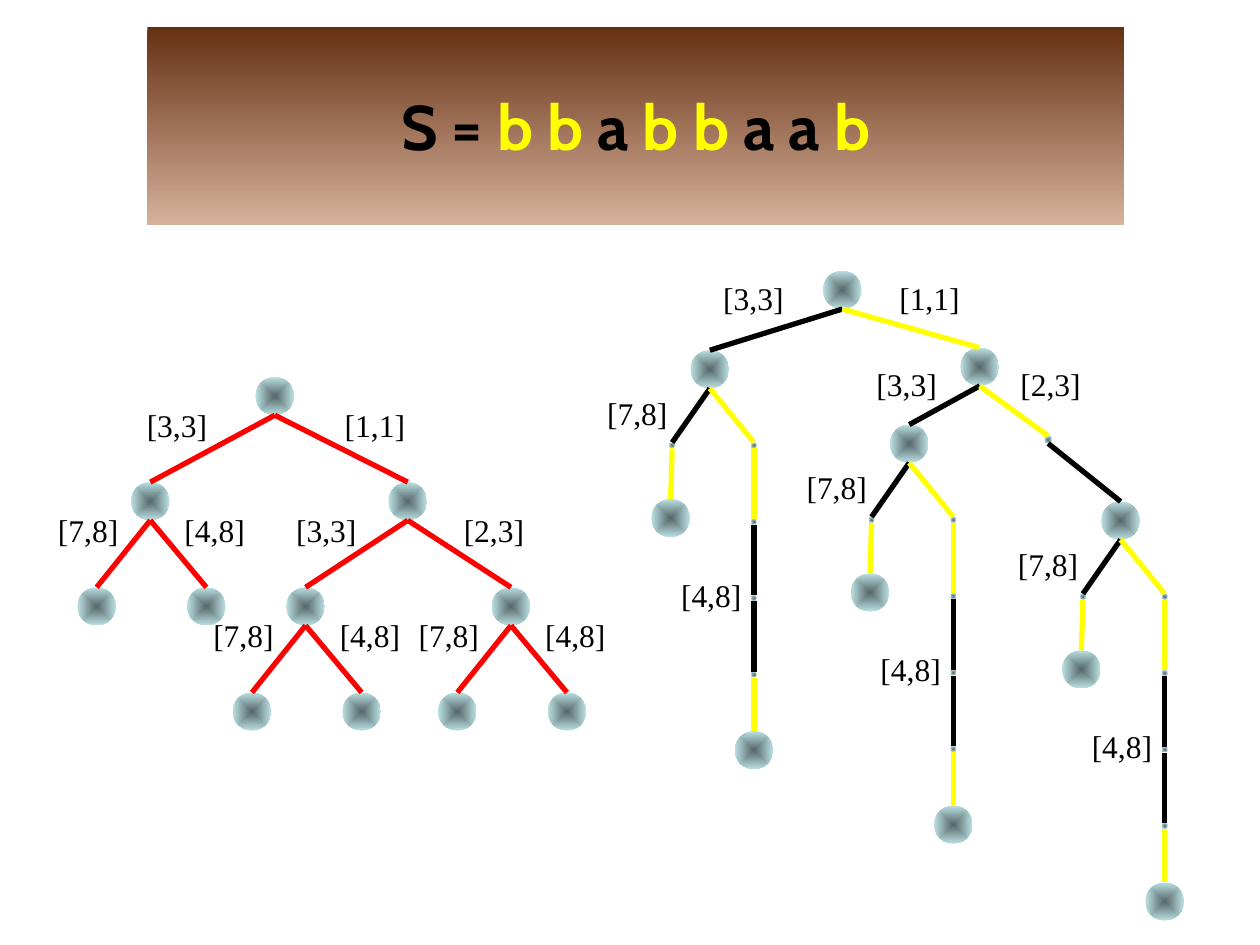
"""Build a slide with the binary string S and its two suffix index trees."""
from dataclasses import dataclass

from lxml import etree
from pptx import Presentation, util as u
from pptx.dml.color import RGBColor
from pptx.enum import shapes, text
from pptx.oxml.ns import qn


@dataclass(frozen=True)
class Theme:
    """Colours, fonts and sizes of the slide."""
    black: str = "000000"
    yellow: str = "FFFF00"
    red: str = "FF0000"
    banner: tuple = ("663012", "D6B19C")
    ball: tuple = ("566768", "BBE0E3")
    title_font: str = "Cabin"
    label_font: str = "Times New Roman"
    title_size: int = 36
    label_size: int = 18
    line_width: int = 3
    ball_size: tuple = (0.78, 0.77)
    dot_size: tuple = (0.12, 0.12)


THEME = Theme()


def write(paragraph, content, *, font, size, colour, bold=False):
    """Add one formatted run to a paragraph."""
    run = paragraph.add_run()
    run.text = content
    run.font.name = font
    run.font.size = u.Pt(size)
    run.font.bold = bold
    run.font.color.rgb = RGBColor.from_string(colour)


def fill_gradient(shape, colours, from_centre=False):
    """Fill a shape with two colours, downwards or from the centre out."""
    shape.fill.gradient()
    shape.fill.gradient_angle = 270
    for stop, colour in zip(shape.fill.gradient_stops, colours):
        stop.color.rgb = RGBColor.from_string(colour)
    if from_centre:
        gradient = shape.element.spPr.find(qn("a:gradFill"))
        gradient.remove(gradient.find(qn("a:lin")))
        outline = etree.SubElement(gradient, qn("a:path"), path="rect")
        sides = dict.fromkeys("ltrb", "50000")
        etree.SubElement(outline, qn("a:fillToRect"), **sides)


def add_title(slide):
    """Place the banner title and colour each letter of the string."""
    title = slide.shapes.title
    title.left, title.top = u.Cm(2.97), u.Cm(0.54)
    title.width, title.height = u.Cm(19.69), u.Cm(3.99)
    fill_gradient(title, THEME.banner)
    frame = title.text_frame
    frame.auto_size = text.MSO_AUTO_SIZE.NONE
    frame.vertical_anchor = text.MSO_ANCHOR.MIDDLE
    paragraph = frame.paragraphs[0]
    paragraph.alignment = text.PP_ALIGN.CENTER
    for part in ("S = ", "b b ", "a ", "b b ", "a a ", "b"):
        colour = THEME.yellow if "b" in part else THEME.black
        write(paragraph, part, font=THEME.title_font, size=THEME.title_size,
              colour=colour, bold=True)


def add_node(canvas, centre, top, size=THEME.ball_size):
    """Add a tree node from its horizontal centre and its top."""
    width, height = size
    node = canvas.add_shape(shapes.MSO_SHAPE.OVAL, u.Cm(centre - width / 2),
                            u.Cm(top), u.Cm(width), u.Cm(height))
    node.shadow.inherit = False
    node.line.fill.background()
    fill_gradient(node, THEME.ball, from_centre=True)
    return node


def locate(node):
    """Return the horizontal centre and the top of a node."""
    return u.Length(node.left + node.width // 2).cm, node.top.cm


def add_edge(canvas, parent, child, colour):
    """Join the bottom of a parent to the top of its child."""
    x, y = parent.left + parent.width // 2, parent.top + parent.height
    edge = canvas.add_connector(shapes.MSO_CONNECTOR.STRAIGHT, x, y, x, y)
    edge.end_connect(child, 0)
    edge.line.width = u.Pt(THEME.line_width)
    edge.line.color.rgb = RGBColor.from_string(colour)
    etree.SubElement(edge.element.spPr, qn("a:effectLst"))


def add_label(canvas, content, left, top):
    """Add the index pair that belongs to an edge."""
    box = canvas.add_textbox(u.Cm(left), u.Cm(top), u.Cm(1.73), u.Cm(1.02))
    box.text_frame.word_wrap = False
    box.text_frame.auto_size = text.MSO_AUTO_SIZE.SHAPE_TO_FIT_TEXT
    write(box.text_frame.paragraphs[0], content, font=THEME.label_font,
          size=THEME.label_size, colour=THEME.black)


def add_branches(canvas, parent, branches):
    """Add labelled children one level down and return them."""
    x, top = locate(parent)
    children = []
    for shift, content, label_shift in branches:
        child = add_node(canvas, x + shift, top + 2.12)
        add_edge(canvas, parent, child, THEME.red)
        add_label(canvas, content, x + label_shift, top + 0.46)
        children.append(child)
    return children


def add_chain(canvas, parent, steps):
    """Add nodes in a row, each joined to the one before."""
    x, top = locate(parent)
    for shift, drop, size, colour in steps:
        child = add_node(canvas, x + shift, top + drop, size)
        add_edge(canvas, parent, child, colour)
        parent = child


def add_fork(canvas, parent):
    """Add the expanded [7,8] and [4,8] chains under a node."""
    x, top = locate(parent)
    dot, ball = THEME.dot_size, THEME.ball_size
    black, yellow = THEME.black, THEME.yellow
    add_chain(canvas, parent, [(-0.76, 1.86, dot, black),
                               (-0.79, 3, ball, yellow)])
    dots = [(0.89, 1.86 + 1.54 * level, dot, colour)
            for level, colour in enumerate((yellow, yellow, black, black))]
    add_chain(canvas, parent, dots + [(0.89, 7.68, ball, yellow)])
    add_label(canvas, "[7,8]", x - 2.32, top + 0.75)
    add_label(canvas, "[4,8]", x - 0.83, top + 4.42)


def add_compact_tree(slide):
    """Draw the tree whose edges carry index pairs only."""
    canvas = slide.shapes.add_group_shape().shapes
    root = add_node(canvas, 5.54, 7.6)
    left, right = add_branches(canvas, root, [(-2.51, "[3,3]", -2.83),
                                              (2.68, "[1,1]", 1.16)])
    inner = add_branches(canvas, right, [(-2.06, "[3,3]", -2.5),
                                         (2.08, "[2,3]", 0.88)])
    for node in (left, *inner):
        add_branches(canvas, node, [(-1.08, "[7,8]", -2.11),
                                    (1.13, "[4,8]", 0.44)])


def add_expanded_tree(slide):
    """Draw the tree with one coloured edge per letter."""
    canvas = slide.shapes
    root = add_node(canvas, 16.98, 5.46)
    left = add_node(canvas, 14.31, 7.06)
    right = add_node(canvas, 19.75, 7.01)
    middle = add_node(canvas, 18.33, 8.56)
    dot = add_node(canvas, 21.13, 8.79, (0.15, 0.15))
    far = add_node(canvas, 22.59, 10.11)
    for parent, child, colour in ((root, left, THEME.black),
                                  (root, right, THEME.yellow),
                                  (right, middle, THEME.black),
                                  (right, dot, THEME.yellow),
                                  (dot, far, THEME.black)):
        add_edge(canvas, parent, child, colour)
    for node in (left, middle, far):
        add_fork(canvas, node)
    for content, x, y in (("[3,3]", 14.33, 5.51), ("[1,1]", 17.88, 5.51),
                          ("[3,3]", 17.42, 7.24), ("[2,3]", 20.32, 7.24)):
        add_label(canvas, content, x, y)


def main():
    """Create the presentation and save it."""
    presentation = Presentation()
    presentation.slide_width, presentation.slide_height = u.Cm(25.4), u.Cm(19.05)
    slide = presentation.slides.add_slide(presentation.slide_layouts[5])
    add_title(slide)
    add_expanded_tree(slide)
    add_compact_tree(slide)
    presentation.save("out.pptx")


if __name__ == "__main__":
    main()
